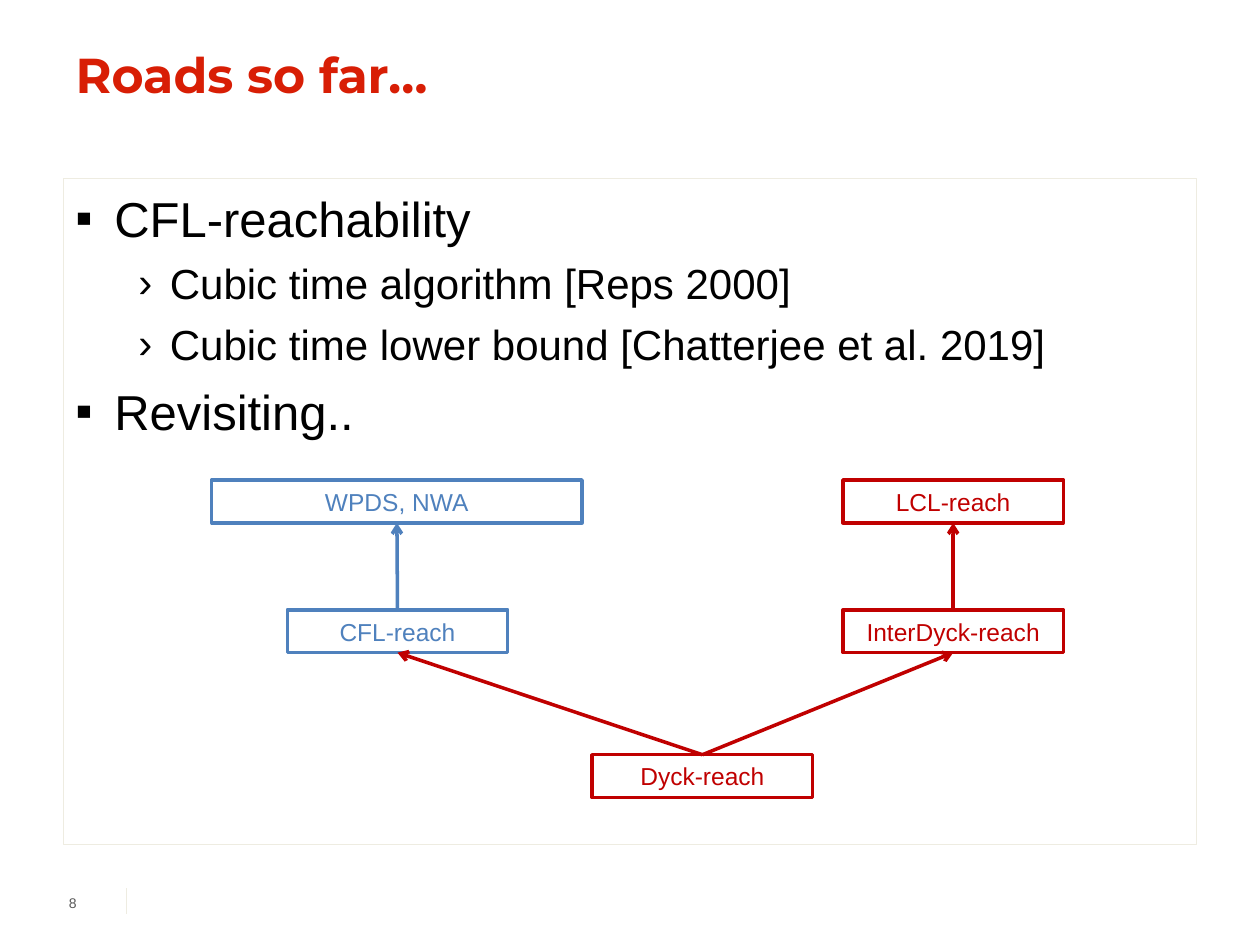
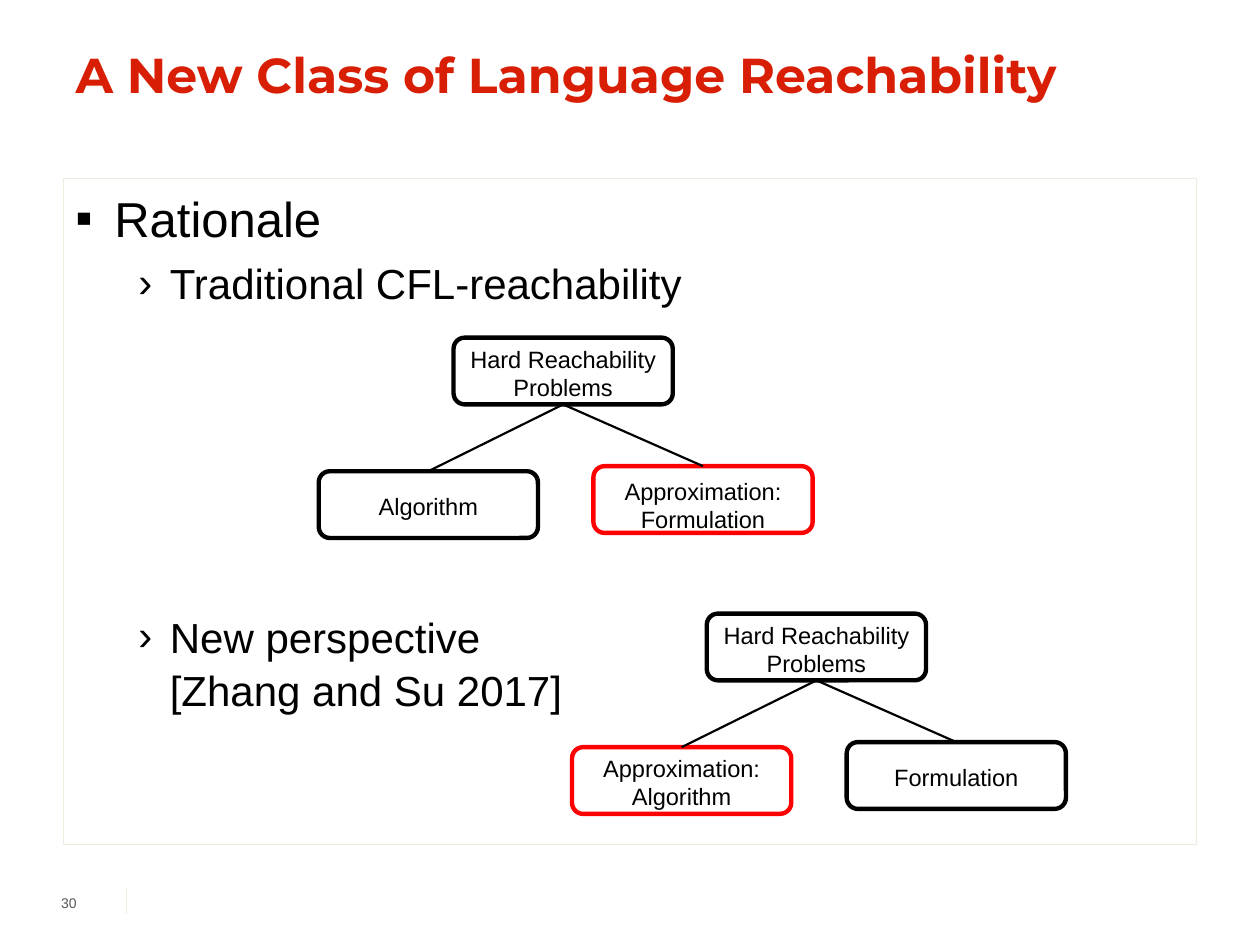
from dataclasses import dataclass

from lxml import etree
from pptx import Presentation
from pptx import util as u
from pptx.dml.color import RGBColor
from pptx.enum import shapes, text
from pptx.oxml import ns

SLIDE_W, SLIDE_H = u.Inches(10), u.Inches(7.5)
COL, ROW = SLIDE_W / 100, SLIDE_H / 75


@dataclass(frozen=True)
class Theme:
    """Colours, fonts and type sizes shared by the slides."""
    title: str = "D81E05"
    ink: str = "000000"
    rule: str = "EEECE1"
    page: str = "595959"
    red: str = "C00000"
    blue: str = "4F81BD"
    accent: str = "FF0000"
    head_font: str = "Montserrat"
    font: str = "Arial"
    title_pt: float = 28
    level_pt: tuple = (28, 24)
    label_pt: float = 14
    node_pt: float = 13.5
    page_pt: float = 8


@dataclass(frozen=True)
class Box:
    """A rectangle in grid columns and rows."""
    x: float
    y: float
    w: float
    h: float

    def inner(self, x, y, w, h):
        """Return a box placed from this box's corner."""
        return Box(self.x + x, self.y + y, w, h)

    def emu(self):
        """Return left, top, width and height for python-pptx."""
        return (round(self.x * COL), round(self.y * ROW),
                round(self.w * COL), round(self.h * ROW))


T = Theme()
TITLE = Box(5, 3, 90, 9.5)
BODY = Box(5, 14.2, 90, 52.8)
PAGE = Box(3.3, 70, 3.3, 3.3)
LEVELS = ((0.31, 0.31, "▪"), (0.75, 0.25, "›"))
NODE_W, NODE_H = 17.4, 5.3
LABEL_W, LABEL_H = 17.5, 3.4


def rgb(colour):
    """Turn a hex string into a colour."""
    return RGBColor.from_string(colour)


def write(p, words, size, colour, font=T.font, bold=False):
    """Add runs to a paragraph, with a line break at each newline."""
    for i, line in enumerate(words.split("\n")):
        if i:
            p.add_line_break()
        r = p.add_run()
        r.text = line
        r.font.size, r.font.name, r.font.bold = u.Pt(size), font, bold
        r.font.color.rgb = rgb(colour)


def set_frame(tf, anchor, left=0.1, top=0.05, right=0.1, bottom=0.05):
    """Set wrapping, anchor and insets of a text frame."""
    tf.word_wrap = True
    tf.auto_size = text.MSO_AUTO_SIZE.NONE
    tf.vertical_anchor = anchor
    tf.margin_left, tf.margin_top = u.Inches(left), u.Inches(top)
    tf.margin_right, tf.margin_bottom = u.Inches(right), u.Inches(bottom)


def add_outline(slide, box, colour, weight, preset=shapes.MSO_SHAPE.RECTANGLE):
    """Add an unfilled outlined shape."""
    sp = slide.shapes.add_shape(preset, *box.emu())
    sp.shadow.inherit = False
    sp.fill.background()
    sp.line.color.rgb = rgb(colour)
    sp.line.width = u.Pt(weight)
    return sp


def add_line(slide, colour, weight, ends=(0, 0, 0, 0), arrow=False):
    """Add a straight line without shadow."""
    cx = slide.shapes.add_connector(shapes.MSO_CONNECTOR.STRAIGHT, *ends)
    cx.line.color.rgb = rgb(colour)
    cx.line.width = u.Pt(weight)
    if arrow:
        etree.SubElement(cx.line._get_or_add_ln(), ns.qn("a:tailEnd"), type="arrow")
    etree.SubElement(cx._element.spPr, ns.qn("a:effectLst"))
    return cx


def join(slide, lower, upper, colour, weight, arrow=False):
    """Connect the top of one shape to the bottom of another."""
    cx = add_line(slide, colour, weight, arrow=arrow)
    cx.begin_connect(lower, 0)
    cx.end_connect(upper, 2)


def add_title(slide, box, words):
    """Place and format the title placeholder."""
    sp = slide.shapes.title
    sp.left, sp.top, sp.width, sp.height = box.emu()
    set_frame(sp.text_frame, text.MSO_ANCHOR.TOP)
    p = sp.text_frame.paragraphs[0]
    p.alignment = text.PP_ALIGN.LEFT
    write(p, words, T.title_pt, T.title, T.head_font, True)


def add_footer(slide, box, number):
    """Add the page number and the short rule beside it."""
    tf = slide.shapes.add_textbox(*box.emu()).text_frame
    set_frame(tf, text.MSO_ANCHOR.MIDDLE, left=0, right=0.05)
    tf.paragraphs[0].alignment = text.PP_ALIGN.RIGHT
    write(tf.paragraphs[0], number, T.page_pt, T.page)
    x, y, w, h = box.inner(6.7, 0.5, 0, 2).emu()
    add_line(slide, T.rule, 0.25, (x, y, x + w, y + h))


def add_bullets(slide, box, items):
    """Add the framed list; each item is level, words and space before."""
    sp = add_outline(slide, box, T.rule, 0.5)
    tf = sp.text_frame
    set_frame(tf, text.MSO_ANCHOR.TOP)
    for i, (level, words, before) in enumerate(items):
        p = tf.add_paragraph() if i else tf.paragraphs[0]
        indent, hang, mark = LEVELS[level]
        pPr = p._p.get_or_add_pPr()
        pPr.set("marL", str(u.Inches(indent)))
        pPr.set("indent", str(-u.Inches(hang)))
        etree.SubElement(pPr, ns.qn("a:buFont"), typeface=T.font)
        etree.SubElement(pPr, ns.qn("a:buChar"), char=mark)
        p.level = level
        p.alignment = text.PP_ALIGN.LEFT
        p.line_spacing = 1.05
        p.space_before = u.Pt(before)
        write(p, words, T.level_pt[level], T.ink)


def add_label(slide, sp, words, size, colour, top=0.05, bottom=0.05):
    """Centre a caption inside a shape."""
    set_frame(sp.text_frame, text.MSO_ANCHOR.MIDDLE, 0.02, top, 0.02, bottom)
    p = sp.text_frame.paragraphs[0]
    p.alignment = text.PP_ALIGN.CENTER
    write(p, words, size, colour)


def add_reach_map(slide, box):
    """Draw the reachability classes and the arrows between them."""
    nodes = (("Dyck-reach", 30.2, 21.8, LABEL_W, T.red),
             ("CFL-reach", 6, 10.3, LABEL_W, T.blue),
             ("WPDS, NWA", 0, 0, 29.4, T.blue),
             ("InterDyck-reach", 50.1, 10.3, LABEL_W, T.red),
             ("LCL-reach", 50.1, 0, LABEL_W, T.red))
    made = {}
    for name, x, y, w, colour in nodes:
        made[name] = add_outline(slide, box.inner(x, y, w, LABEL_H), colour, 2)
        add_label(slide, made[name], name, T.label_pt, colour)
    for lower, upper, colour in (("Dyck-reach", "CFL-reach", T.red),
                                 ("Dyck-reach", "InterDyck-reach", T.red),
                                 ("CFL-reach", "WPDS, NWA", T.blue),
                                 ("InterDyck-reach", "LCL-reach", T.red)):
        join(slide, made[lower], made[upper], colour, 2, True)


def add_tree(slide, box, left, right):
    """Draw a problem with two branches; a branch is words, colour and top inset."""
    root = ("Hard Reachability\u0020Problems", T.ink, 0.03)
    places = ((10.7, 0), (0, 10.6), (21.8, 10.2))
    made = []
    for (x, y), (words, colour, top) in zip(places, (root, left, right)):
        sp = add_outline(slide, box.inner(x, y, NODE_W, NODE_H), colour, 2.5,
                         shapes.MSO_SHAPE.ROUNDED_RECTANGLE)
        add_label(slide, sp, words, T.node_pt, T.ink, top, 0)
        made.append(sp)
    for branch in made[1:]:
        join(slide, branch, made[0], T.ink, 1.25)


def add_page(prs, title, number, items):
    """Add a slide with title, framed list and footer."""
    slide = prs.slides.add_slide(prs.slide_layouts[5])
    add_title(slide, TITLE, title)
    add_bullets(slide, BODY, items)
    add_footer(slide, PAGE, number)
    return slide


def main():
    """Build both slides and save them."""
    prs = Presentation()
    prs.slide_width, prs.slide_height = SLIDE_W, SLIDE_H

    slide = add_page(prs, "Roads so far…", "8", (
        (0, "CFL-reachability", 0),
        (1, "Cubic time algorithm [Reps 2000]", 4.6),
        (1, "Cubic time lower bound [Chatterjee et al. 2019]", 4.6),
        (0, "Revisiting..", 5.4)))
    add_reach_map(slide, BODY.inner(11.8, 23.9, 67.6, 25.2))

    slide = add_page(prs, "A New Class of Language Reachability", "30", (
        (0, "Rationale", 0),
        (1, "Traditional CFL-reachability", 4.6),
        (1, "New perspective\n[Zhang and Su 2017]", 172)))
    add_tree(slide, BODY.inner(20.3, 12.6, 39.2, 15.9),
             ("Algorithm", T.ink, 0.03),
             ("Approximation:\nFormulation", T.accent, 0.09))
    add_tree(slide, BODY.inner(40.4, 34.5, 39.2, 15.9),
             ("Approximation:\nAlgorithm", T.accent, 0.02),
             ("Formulation", T.ink, 0.02))

    prs.save("out.pptx")


if __name__ == "__main__":
    main()
